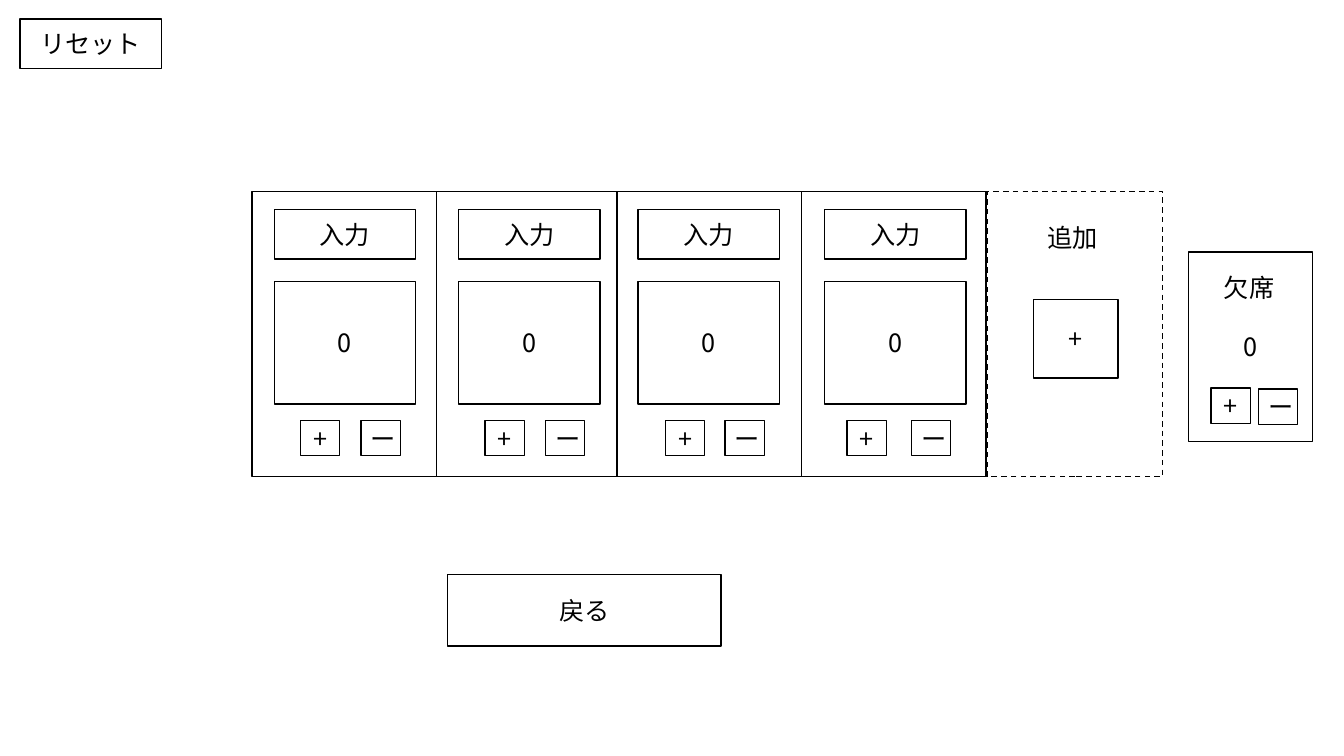
from dataclasses import dataclass

from lxml import etree
from pptx import Presentation
from pptx import util as u
from pptx.dml.color import RGBColor
from pptx.enum import dml, shapes, text
from pptx.oxml import ns

PX = 9144
BLACK = RGBColor(0, 0, 0)
WHITE = RGBColor(255, 255, 255)
FONT = "Noto Sans CJK JP"
TOP, WIDE, HIGH = 190, 183, 283


@dataclass(frozen=True)
class Panel:
    """A score panel and the offsets of its parts from the left edge."""
    left: int
    field: int = 22
    plus: int = 48
    minus: int = 108


@dataclass(frozen=True)
class Box:
    """A rectangle in px with an optional label."""
    left: int
    top: int
    width: int
    height: int
    label: str = ""
    dash: bool = False


PANELS = (
    Panel(250),
    Panel(433),
    Panel(612, field=21, minus=107),
    Panel(795, field=23, plus=45, minus=109),
)


def write(frame, words: str, *, size: int = 18, color: RGBColor = BLACK,
          align=text.PP_ALIGN.CENTER, anchor=text.MSO_ANCHOR.MIDDLE) -> None:
    """Put one formatted line of text in a frame."""
    frame.word_wrap = True
    frame.vertical_anchor = anchor
    para = frame.paragraphs[0]
    para.alignment = align
    run = para.add_run()
    run.text = words
    run.font.size = u.Pt(size)
    run.font.name = FONT
    run.font.color.rgb = color
    east = etree.SubElement(run.font._element, ns.qn("a:ea"))
    east.set("typeface", FONT)


def draw(parent, box: Box) -> None:
    """Draw a white box with a thin black outline."""
    shape = parent.add_shape(
        shapes.MSO_SHAPE.RECTANGLE, box.left * PX, box.top * PX,
        box.width * PX, box.height * PX)
    shape.shadow.inherit = False
    shape.fill.solid()
    shape.fill.fore_color.rgb = WHITE
    shape.line.color.rgb = BLACK
    shape.line.width = u.Pt(1)
    if box.dash:
        shape.line.dash_style = dml.MSO_LINE.DASH
    if box.label:
        write(shape.text_frame, box.label)


def title(parent, box: Box, align=text.PP_ALIGN.CENTER) -> None:
    """Write a heading without an outline."""
    area = parent.add_textbox(box.left * PX, box.top * PX,
                              box.width * PX, box.height * PX)
    write(area.text_frame, box.label, align=align,
          anchor=text.MSO_ANCHOR.TOP)


def button(parent, left: int, top: int, sign: str) -> None:
    """Draw a small counter button."""
    draw(parent, Box(left, top, 39, 35, sign))


def score(parent, panel: Panel) -> None:
    """Draw a panel with its name field, count and buttons."""
    left = panel.left
    draw(parent, Box(left, TOP, WIDE, HIGH))
    draw(parent, Box(left + panel.field, 208, 140, 49, "入力"))
    button(parent, left + panel.plus, 417, "+")
    button(parent, left + panel.minus, 417, "ー")
    draw(parent, Box(left + panel.field, 279, 140, 122, "0"))


def absent(parent) -> None:
    """Draw the absence counter."""
    draw(parent, Box(1179, 250, 123, 188, "0"))
    title(parent, Box(1204, 265, 72, 40, "欠席"), text.PP_ALIGN.LEFT)
    button(parent, 1201, 385, "+")
    button(parent, 1248, 386, "ー")


def extra(parent) -> None:
    """Draw the dashed panel that adds a column."""
    draw(parent, Box(979, TOP, 174, HIGH, dash=True))
    title(parent, Box(1001, 216, 125, 41, "追加"))
    draw(parent, Box(1025, 297, 84, 78, "+"))


def main() -> None:
    """Build and save the slide."""
    deck = Presentation()
    deck.slide_width, deck.slide_height = u.Inches(13.33), u.Inches(7.5)
    tree = deck.slides.add_slide(deck.slide_layouts[6]).shapes
    draw(tree, Box(20, 19, 140, 49, "リセット"))
    draw(tree, Box(444, 570, 271, 71, "戻る"))
    for panel in PANELS:
        score(tree.add_group_shape().shapes, panel)
    absent(tree.add_group_shape().shapes)
    extra(tree)
    deck.save("out.pptx")


if __name__ == "__main__":
    main()
